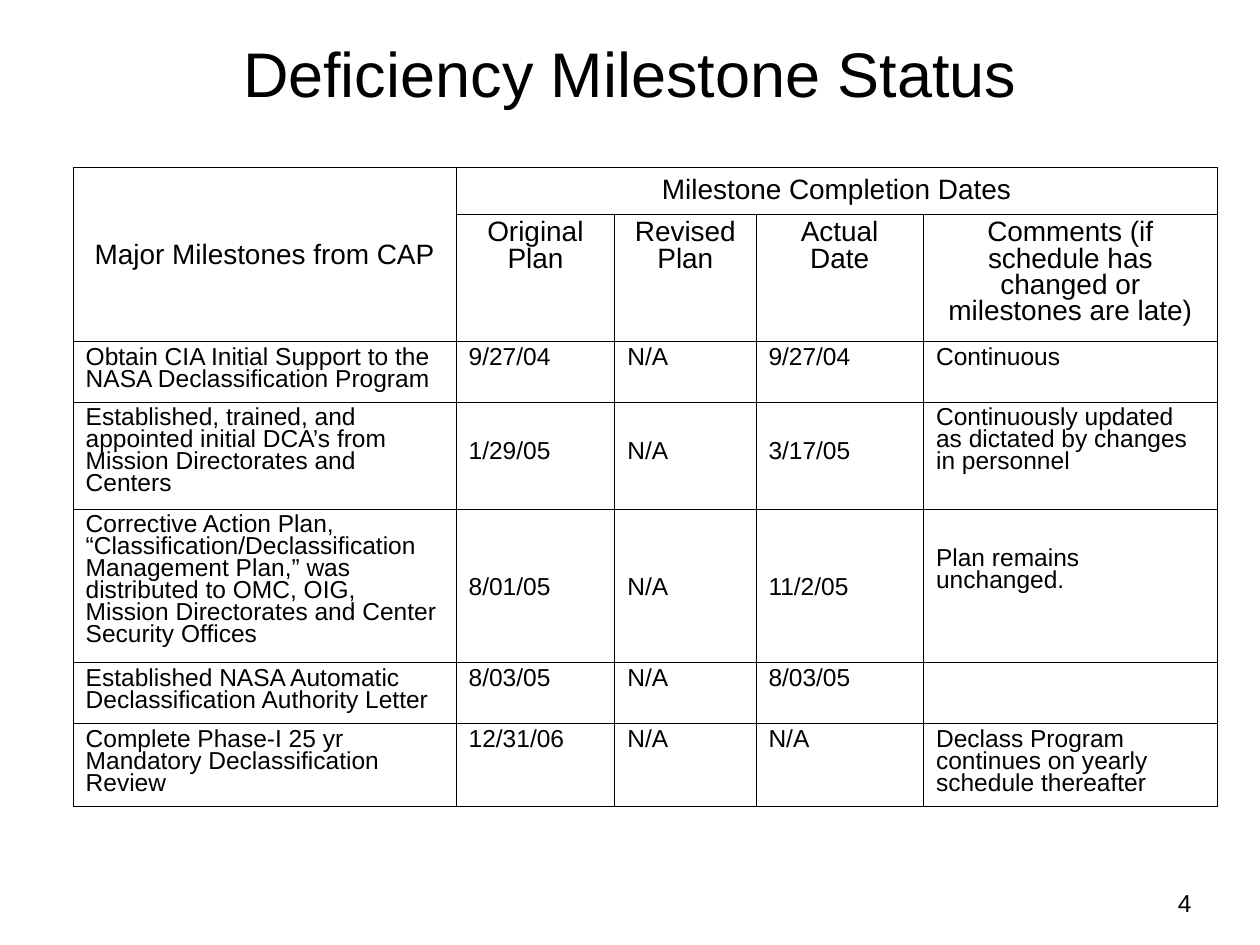
from pptx import Presentation
from pptx import util as u
from pptx.dml import color
from pptx.enum import text
from pptx.oxml import parse_xml
from pptx.oxml.ns import nsdecls

hues = {"ink": "000000"}
left, mid = text.PP_ALIGN.LEFT, text.PP_ALIGN.CENTER


def write(frame, words, size=14, align=left, space=1.0):
    frame.word_wrap = True
    para = frame.paragraphs[0]
    para.text = words
    para.alignment = align
    para.line_spacing = space
    para.font.size = u.Pt(size)
    para.font.name = "Arial"
    para.font.color.rgb = color.RGBColor.from_string(hues["ink"])


def rule(cell):
    props = cell._tc.get_or_add_tcPr()
    for n, side in enumerate(("lnL", "lnR", "lnT", "lnB")):
        props.insert(n, parse_xml(
            f'<a:{side} {nsdecls("a")} w="{u.Pt(0.45)}"><a:solidFill>'
            f'<a:srgbClr val="{hues["ink"]}"/></a:solidFill></a:{side}>'))


deck = Presentation()
deck.slide_width, deck.slide_height = u.Inches(10), u.Inches(7.5)
slide = deck.slides.add_slide(deck.slide_layouts[6])

title = slide.shapes.add_textbox(u.Inches(0.5), u.Inches(0), u.Inches(9), u.Inches(1.15))
title.text_frame.vertical_anchor = text.MSO_ANCHOR.MIDDLE
write(title.text_frame, "Deficiency Milestone Status", size=36, align=mid)

wides = [3.04, 1.26, 1.12, 1.33, 2.33]
highs = [0.37, 1.01, 0.48, 0.85, 1.22, 0.48, 0.66]
heads = [
    ["Major Milestones from CAP", "Milestone Completion Dates", "", "", ""],
    ["", "Original Plan", "Revised Plan", "Actual Date",
     "Comments (if schedule has changed or milestones are late)"],
]
items = [
    ["Obtain CIA Initial Support to the NASA Declassification Program",
     "9/27/04", "N/A", "9/27/04", "Continuous"],
    ["Established, trained, and appointed initial DCA’s from Mission Directorates and Centers",
     "1/29/05", "N/A", "3/17/05", "Continuously updated as dictated by changes in personnel"],
    ["Corrective Action Plan, “Classification/Declassification Management Plan,” was "
     "distributed to OMC, OIG, Mission Directorates and Center Security Offices",
     "8/01/05", "N/A", "11/2/05", "Plan remains unchanged."],
    ["Established NASA Automatic Declassification Authority Letter",
     "8/03/05", "N/A", "8/03/05", ""],
    ["Complete Phase-I 25 yr Mandatory Declassification Review",
     "12/31/06", "N/A", "N/A", "Declass Program continues on yearly schedule thereafter"],
]
drops = {3: [0, 0.27, 0.27, 0.27, 0], 4: [0, 0.5, 0.5, 0.5, 0.27]}

grid = slide.shapes.add_table(
    len(highs), len(wides), u.Inches(0.58), u.Inches(1.33),
    u.Inches(sum(wides)), u.Inches(sum(highs))).table
grid.first_row = grid.horz_banding = False
for col, wide in zip(grid.columns, wides):
    col.width = u.Inches(wide)
for row, high in zip(grid.rows, highs):
    row.height = u.Inches(high)

for r, line in enumerate(heads + items):
    for c, words in enumerate(line):
        cell = grid.cell(r, c)
        cell.fill.background()
        rule(cell)
        cell.margin_top = u.Inches(0.05 + drops.get(r, [0] * 5)[c])
        if r < len(heads):
            write(cell.text_frame, words, size=16, align=mid, space=0.85 if r else 1.0)
        else:
            write(cell.text_frame, words, space=0.8)

grid.cell(0, 0).merge(grid.cell(1, 0))
grid.cell(0, 1).merge(grid.cell(0, 4))
grid.cell(0, 0).vertical_anchor = text.MSO_ANCHOR.MIDDLE

page = slide.shapes.add_textbox(u.Inches(9.25), u.Inches(7), u.Inches(0.42), u.Inches(0.34))
write(page.text_frame, "4")

deck.save("out.pptx")
